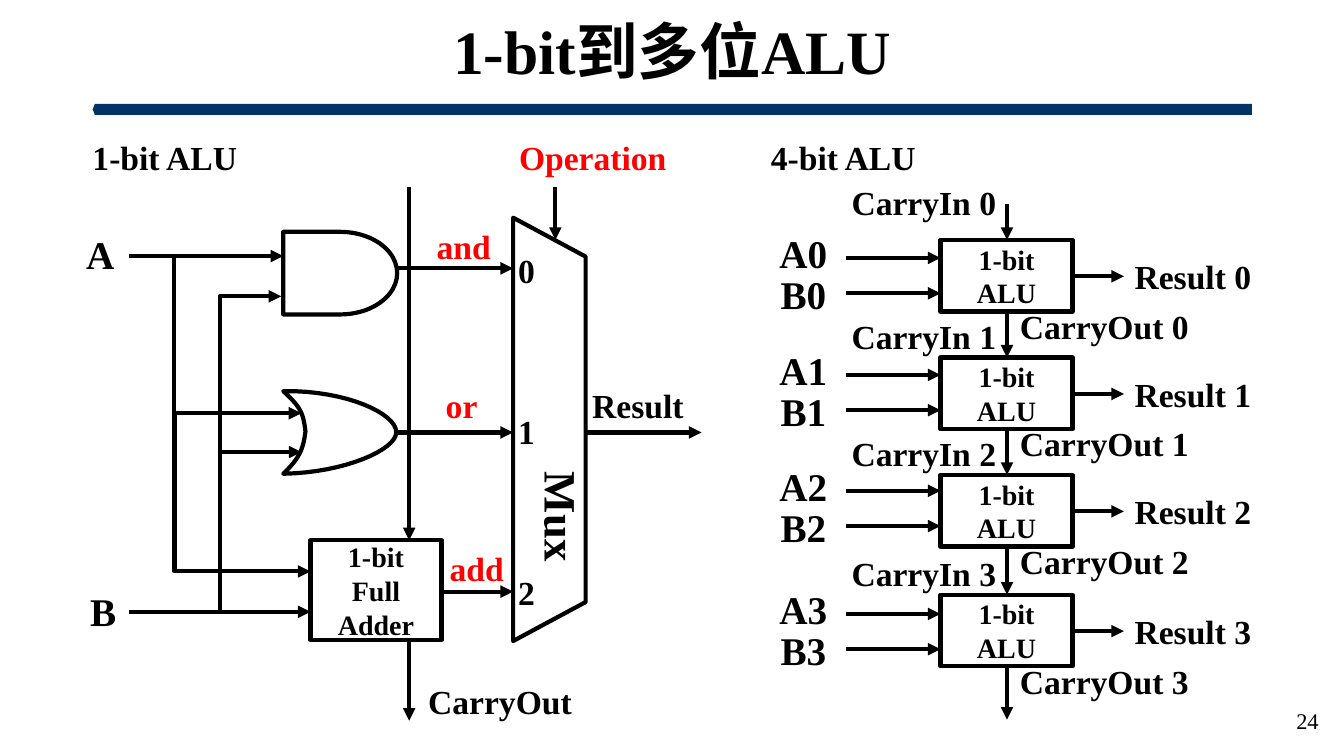
from dataclasses import dataclass

from lxml.etree import SubElement
from pptx import Presentation
from pptx.dml.color import RGBColor
from pptx.enum.shapes import MSO_CONNECTOR as Link, MSO_SHAPE as Preset
from pptx.enum.text import MSO_ANCHOR as Anchor, PP_ALIGN as Align
from pptx.oxml.ns import qn
from pptx.util import Pt

BLACK = RGBColor(0, 0, 0)
WHITE = RGBColor(255, 255, 255)
RED = RGBColor(255, 0, 0)
NAVY = RGBColor(0x00, 0x33, 0x66)
FONT = "Times New Roman"
STROKE = Pt(3)
CURVE_STEPS = 16

ALU_LEFT, ALU_WIDTH, ALU_HEIGHT = 671.8, 94.3, 51.1
CARRY_X = 719.3
GATE_LEFT, GATE_RIGHT = 202.3, 283.2
A_BUS, B_BUS, CARRY_BUS = 124.6, 157, 292.3
MUX_LEFT, MUX_RIGHT = 366.5, 418.3


@dataclass
class Label:
    text: str
    left: float
    top: float
    width: float
    size: int = 24
    color: RGBColor = BLACK


@dataclass
class Wire:
    start: tuple[float, float]
    tip: tuple[float, float]


@dataclass
class Stage:
    top: float
    input_y: float
    carry_in_top: float


LABELS = [
    Label("1-bit ALU", 65.5, 97.9, 104.4),
    Label("4-bit ALU", 550.1, 97.9, 104.4),
    Label("Operation", 370.1, 97.9, 106.6, color=RED),
    Label("and", 311.8, 161.3, 38.9, color=RED),
    Label("or", 318.2, 275, 23, color=RED),
    Label("add", 314.6, 391.7, 51.8, color=RED),
    Label("Result", 422.6, 275, 66.2),
    Label("CarryOut", 305.3, 486.7, 103.7),
    Label("A", 56.2, 164.2, 31, 28),
    Label("B", 58.3, 419.8, 31, 28),
    Label("0", 370, 178.4, 12),
    Label("1", 370, 293.5, 12),
    Label("2", 370, 408.5, 12),
]

WIRES = [
    Wire((92.2, 182.9), (GATE_LEFT, 182.9)),
    Wire((92.2, 437), (221.8, 437)),
    Wire((A_BUS, 182.9), (215.3, 295.2)),
    Wire((A_BUS, 295.2), (221.8, 408.2)),
    Wire((B_BUS, 437), (215.3, 322.9)),
    Wire((B_BUS, 322.9), (200.9, 211.7)),
    Wire((CARRY_BUS, 133.9), (CARRY_BUS, 385.9)),
    Wire((CARRY_BUS, 457.2), (CARRY_BUS, 514.8)),
    Wire((GATE_RIGHT, 191.7), (MUX_LEFT, 191.7)),
    Wire((GATE_RIGHT, 308.9), (MUX_LEFT, 308.9)),
    Wire((315.4, 422.6), (MUX_LEFT, 422.6)),
    Wire((MUX_RIGHT, 308.9), (501.1, 308.9)),
    Wire((396.7, 133.9), (396.7, 171.4)),
]

STAGES = [
    Stage(171.4, 184.3, 129.6),
    Stage(255.4, 267.8, 225.4),
    Stage(339.3, 350.6, 308.9),
    Stage(424.8, 438.5, 394.6),
]

# Each curve: start, two control points, end
OR_CURVES = [
    ((202.3, 279.4), (247.7, 278.6), (283.7, 295.9), (283, 308.9)),
    ((283, 308.9), (283, 321.1), (246.2, 337.7), (202.3, 338.4)),
    ((202.3, 338.4), (215.3, 326.2), (216.7, 319), (218.2, 308.2)),
    ((218.2, 308.2), (216.7, 296.6), (216, 291.6), (202.3, 279.4)),
]


def set_font(paragraph, size: float, color: RGBColor = BLACK, bold: bool = True) -> None:
    font = paragraph.font
    font.name, font.size, font.bold = FONT, Pt(size), bold
    font.color.rgb = color


def outline(shape):
    shape.shadow.inherit = False
    shape.fill.solid()
    shape.fill.fore_color.rgb = WHITE
    shape.line.color.rgb = BLACK
    shape.line.width = STROKE
    return shape


def add_preset(shapes, preset, left: float, top: float, width: float, height: float):
    return outline(shapes.add_shape(preset, Pt(left), Pt(top), Pt(width), Pt(height)))


def add_block(shapes, lines: list[str], left: float, top: float, width: float, height: float) -> None:
    frame = add_preset(shapes, Preset.RECTANGLE, left, top, width, height).text_frame
    frame.vertical_anchor = Anchor.MIDDLE
    frame.text = "\n".join(lines)
    for paragraph in frame.paragraphs:
        paragraph.alignment = Align.CENTER
        set_font(paragraph, 20)


def add_label(shapes, label: Label, height: float = 0):
    box = shapes.add_textbox(Pt(label.left), Pt(label.top), Pt(label.width),
                             Pt(height or label.size * 1.2))
    frame = box.text_frame
    frame.margin_left = frame.margin_right = frame.margin_top = frame.margin_bottom = 0
    frame.word_wrap = False
    frame.vertical_anchor = Anchor.MIDDLE
    frame.text = label.text
    frame.paragraphs[0].alignment = Align.CENTER
    set_font(frame.paragraphs[0], label.size, label.color)
    return frame


def add_wire(shapes, wire: Wire) -> None:
    """Draw a straight arrow, or one that runs vertically and then turns to its tip."""
    bent = wire.start[0] != wire.tip[0] and wire.start[1] != wire.tip[1]
    # A two-part elbow leaves horizontally, so a bent wire is drawn from its tip.
    ends = (wire.tip, wire.start) if bent else (wire.start, wire.tip)
    connector = shapes.add_connector(Link.ELBOW if bent else Link.STRAIGHT,
                                     *(Pt(value) for end in ends for value in end))
    connector.line.color.rgb = BLACK
    connector.line.width = STROKE
    properties = connector._element.spPr
    if bent:
        properties.find(qn("a:prstGeom")).set("prst", "bentConnector2")
    arrowhead = "a:headEnd" if bent else "a:tailEnd"
    SubElement(properties.find(qn("a:ln")), qn(arrowhead), type="triangle")
    SubElement(properties, qn("a:effectLst"))


def curve_point(curve, t: float) -> tuple[int, int]:
    weights = ((1 - t) ** 3, 3 * t * (1 - t) ** 2, 3 * t * t * (1 - t), t ** 3)
    x, y = (sum(w * point[axis] for w, point in zip(weights, curve)) for axis in (0, 1))
    return Pt(x), Pt(y)


def add_or_gate(shapes) -> None:
    points = [curve_point(curve, step / CURVE_STEPS)
              for curve in OR_CURVES for step in range(CURVE_STEPS)]
    builder = shapes.build_freeform(*points[0])
    builder.add_line_segments(points[1:], close=True)
    outline(builder.convert_to_shape())


def add_heading(shapes) -> None:
    bar = add_preset(shapes, Preset.PENTAGON, 66.2, 74.2, 828, 7.9)
    bar.adjustments[0] = 0.2
    bar.rotation = 180
    bar.fill.fore_color.rgb = NAVY
    bar.line.fill.background()
    title = shapes.title
    title.left, title.top, title.width, title.height = Pt(66.2), Pt(9.4), Pt(828), Pt(59)
    title.text_frame.text = "1-bit到多位ALU"
    title.text_frame.vertical_anchor = Anchor.MIDDLE
    heading = title.text_frame.paragraphs[0]
    heading.alignment = Align.CENTER
    heading.line_spacing = 0.9
    set_font(heading, 44)


def add_page_number(shapes) -> None:
    frame = shapes.add_textbox(Pt(733), Pt(500.4), Pt(216), Pt(28.8)).text_frame
    frame.word_wrap = True
    frame.vertical_anchor = Anchor.MIDDLE
    frame.text = "24"
    frame.paragraphs[0].alignment = Align.RIGHT
    set_font(frame.paragraphs[0], 16, bold=False)


def add_one_bit_alu(shapes) -> None:
    add_preset(shapes, Preset.FLOWCHART_DELAY, GATE_LEFT, 165.6, 81.4, 59)
    add_or_gate(shapes)
    add_block(shapes, ["1-bit", "Full", "Adder"], 221.8, 385.9, 93.6, 71.3)
    mux = add_preset(shapes, Preset.TRAPEZOID, 241.2, 280.8, 302.4, 51.8)
    mux.rotation = 90
    mux.adjustments[0] = 0.537
    for wire in WIRES:
        add_wire(shapes, wire)
    for label in LABELS:
        add_label(shapes, label)
    mux_name = add_label(shapes, Label("Mux", 382.3, 337, 38.9, 32), 64.8)
    mux_name._txBody.bodyPr.set("vert", "eaVert")


def add_four_bit_alu(shapes) -> None:
    carry_starts = [145.4] + [stage.top + ALU_HEIGHT for stage in STAGES]
    carry_tips = [stage.top for stage in STAGES] + [514.1]
    for number, stage in enumerate(STAGES):
        add_block(shapes, ["1-bit", "ALU"], ALU_LEFT, stage.top, ALU_WIDTH, ALU_HEIGHT)
        for name, y, gap in (("A", stage.input_y, 20.2), ("B", stage.input_y + 25.2, 16.4)):
            add_wire(shapes, Wire((604.1, y), (ALU_LEFT, y)))
            add_label(shapes, Label(f"{name}{number}", 554.4, y - gap, 38.9, 28))
        result_y = stage.top + 26
        add_wire(shapes, Wire((ALU_LEFT + ALU_WIDTH, result_y), (802.8, result_y)))
        for label in (Label(f"Result {number}", 810, result_y - 14.4, 84.2),
                      Label(f"CarryIn {number}", 607.7, stage.carry_in_top, 104.4),
                      Label(f"CarryOut {number}", 727.9, stage.top + 47, 121.7)):
            add_label(shapes, label)
    for start, tip in zip(carry_starts, carry_tips):
        add_wire(shapes, Wire((CARRY_X, start), (CARRY_X, tip)))


def main() -> None:
    deck = Presentation()
    deck.slide_width, deck.slide_height = Pt(960), Pt(540)
    shapes = deck.slides.add_slide(deck.slide_layouts[5]).shapes
    for draw in (add_heading, add_page_number, add_one_bit_alu, add_four_bit_alu):
        draw(shapes)
    deck.save("out.pptx")


if __name__ == "__main__":
    main()
